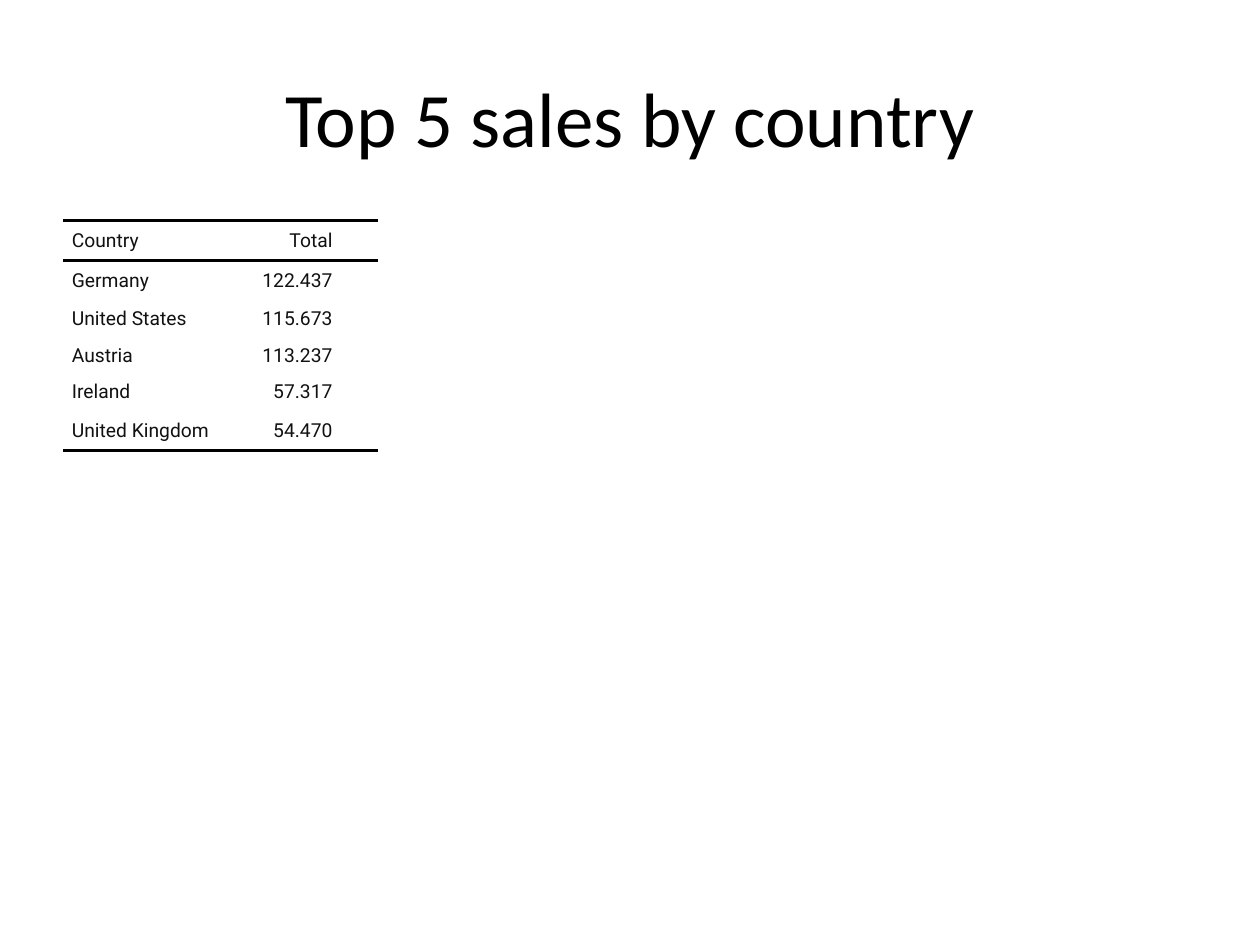
from dataclasses import dataclass

from lxml.etree import SubElement
from pptx import Presentation
from pptx.dml.color import RGBColor
from pptx.enum.text import MSO_ANCHOR as Anchor, PP_ALIGN as Align
from pptx.oxml.ns import qn
from pptx.util import Inches, Pt

TITLE = "Top 5 sales by country"
SALES = [
    ("Country", "Total", ""),
    ("Germany", "122.437", ""),
    ("United States", "115.673", ""),
    ("Austria", "113.237", ""),
    ("Ireland", "57.317", ""),
    ("United Kingdom", "54.470", ""),
]
COLUMN_WIDTHS = [1.37, 0.84, 0.29]
ROW_HEIGHTS = [0.32, 0.32, 0.29, 0.29, 0.29, 0.32]
COLUMN_ALIGNS = [Align.LEFT, Align.RIGHT, Align.LEFT]
RULED_SIDES = {0: ("lnT", "lnB"), len(SALES) - 1: ("lnB",)}
PLAIN_STYLE = "{2D5ABB26-0587-4C30-8999-92F81FD0307C}"


@dataclass(frozen=True)
class Theme:
    title_font: str = "Calibri"
    title_size: int = 44
    title_color: str = "000000"
    table_font: str = "Roboto"
    table_size: int = 11
    table_color: str = "111111"
    rule_color: str = "000000"
    rule_width: int = 2


THEME = Theme()


def write(frame, text, *, font, size, color, align, space=0, indent=0):
    para = frame.paragraphs[0]
    para.alignment = align
    para.space_before = para.space_after = Pt(space)
    properties = para._p.get_or_add_pPr()
    for side in ("marL", "marR"):
        properties.set(side, str(Inches(indent)))
    if not text:
        SubElement(para._p, qn("a:endParaRPr"), sz=str(size * 100))
        return
    span = para.add_run()
    span.text = text
    span.font.name = font
    span.font.size = Pt(size)
    span.font.color.rgb = RGBColor.from_string(color)


def add_rule(cell, side):
    line = SubElement(cell._tc.get_or_add_tcPr(), qn(f"a:{side}"), w=str(Pt(THEME.rule_width)))
    fill = SubElement(line, qn("a:solidFill"))
    SubElement(fill, qn("a:srgbClr"), val=THEME.rule_color)


def add_title(page):
    box = page.shapes.add_textbox(Inches(0.5), Inches(0.3), Inches(9), Inches(1.25))
    frame = box.text_frame
    frame.word_wrap = True
    frame.vertical_anchor = Anchor.MIDDLE
    write(frame, TITLE, font=THEME.title_font, size=THEME.title_size,
          color=THEME.title_color, align=Align.CENTER)


def add_sales_table(page):
    table = page.shapes.add_table(
        len(SALES), len(COLUMN_WIDTHS), Inches(0.5), Inches(1.75),
        Inches(sum(COLUMN_WIDTHS)), Inches(sum(ROW_HEIGHTS))).table
    table.first_row = table.horz_banding = False
    table._tbl.tblPr.find(qn("a:tableStyleId")).text = PLAIN_STYLE
    for column, width in zip(table.columns, COLUMN_WIDTHS):
        column.width = Inches(width)
    for row, height in zip(table.rows, ROW_HEIGHTS):
        row.height = Inches(height)
    for row_index, values in enumerate(SALES):
        for column_index, value in enumerate(values):
            cell = table.cell(row_index, column_index)
            cell.margin_left = cell.margin_right = cell.margin_top = cell.margin_bottom = 0
            cell.vertical_anchor = Anchor.MIDDLE
            for side in RULED_SIDES.get(row_index, ()):
                add_rule(cell, side)
            cell.fill.background()
            write(cell.text_frame, value, font=THEME.table_font, size=THEME.table_size,
                  color=THEME.table_color, align=COLUMN_ALIGNS[column_index],
                  space=2, indent=0.07)


deck = Presentation()
deck.slide_width, deck.slide_height = Inches(10), Inches(7.5)
page = deck.slides.add_slide(deck.slide_layouts[6])
add_title(page)
add_sales_table(page)
deck.save("out.pptx")
